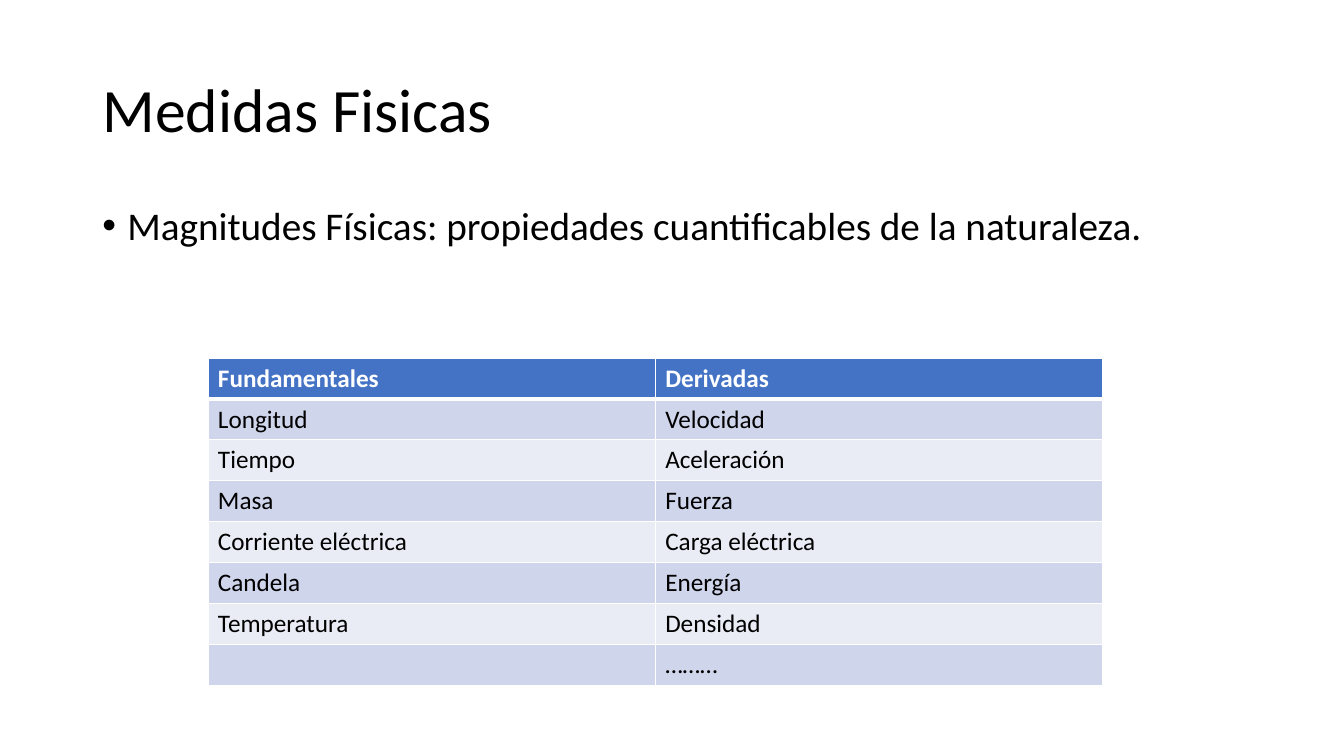
import pptx
import pptx.dml.color
import pptx.enum.text
import pptx.oxml
import pptx.oxml.ns
import pptx.util

PX = 9525
FONT = "Calibri"
COLORS = {
    "text": "000000",
    "white": "FFFFFF",
    "header": "4472C4",
    "odd_row": "CFD5EA",
    "even_row": "E9EBF5",
}
MAGNITUDES = [
    ("Fundamentales", "Derivadas"),
    ("Longitud", "Velocidad"),
    ("Tiempo", "Aceleración"),
    ("Masa", "Fuerza"),
    ("Corriente eléctrica", "Carga eléctrica"),
    ("Candela", "Energía"),
    ("Temperatura", "Densidad"),
    ("", "………"),
]


def px(length):
    return pptx.util.Emu(length * PX)


def rgb(name):
    return pptx.dml.color.RGBColor.from_string(COLORS[name])


def format_runs(paragraph, size, color="text", bold=False):
    for run in paragraph.runs:
        run.font.name = FONT
        run.font.size = pptx.util.Pt(size)
        run.font.bold = bold
        run.font.color.rgb = rgb(color)


def add_title(slide, left, top, width, height):
    title = slide.shapes.title
    title.left, title.top, title.width, title.height = map(px, (left, top, width, height))
    text_frame = title.text_frame
    text_frame.text = "Medidas Fisicas"
    text_frame.word_wrap = True
    text_frame.auto_size = pptx.enum.text.MSO_AUTO_SIZE.NONE
    text_frame.vertical_anchor = pptx.enum.text.MSO_ANCHOR.MIDDLE
    paragraph = text_frame.paragraphs[0]
    paragraph.alignment = pptx.enum.text.PP_ALIGN.LEFT
    paragraph.line_spacing = 0.9
    format_runs(paragraph, 44)


def add_definition(slide, left, top, width, height):
    text_box = slide.shapes.add_textbox(*map(px, (left, top, width, height)))
    text_frame = text_box.text_frame
    text_frame.word_wrap = True
    text_frame.text = "Magnitudes Físicas: propiedades cuantificables de la naturaleza."
    paragraph = text_frame.paragraphs[0]
    paragraph.line_spacing = 0.9
    properties = paragraph._p.get_or_add_pPr()
    properties.set("marL", str(px(24)))
    properties.set("indent", str(px(-24)))
    namespace = pptx.oxml.ns.nsdecls("a")
    properties.append(pptx.oxml.parse_xml(f'<a:buFont {namespace} typeface="Arial"/>'))
    properties.append(pptx.oxml.parse_xml(f'<a:buChar {namespace} char="•"/>'))
    format_runs(paragraph, 28)


def set_borders(cell, top_width, bottom_width):
    properties = cell._tc.get_or_add_tcPr()
    widths = {"lnL": 1, "lnR": 1, "lnT": top_width, "lnB": bottom_width}
    for side, width in widths.items():
        properties.append(pptx.oxml.parse_xml(
            f'<a:{side} {pptx.oxml.ns.nsdecls("a")} w="{pptx.util.Pt(width)}">'
            f'<a:solidFill><a:srgbClr val="{COLORS["white"]}"/></a:solidFill>'
            f'</a:{side}>'
        ))


def add_magnitudes_table(slide, left, top, width, height):
    row_count, column_count = len(MAGNITUDES), len(MAGNITUDES[0])
    frame = slide.shapes.add_table(row_count, column_count, *map(px, (left, top, width, height)))
    table = frame.table
    for column in table.columns:
        column.width = px(width // column_count)
    for row_index, texts in enumerate(MAGNITUDES):
        is_header = row_index == 0
        row_fill = "header" if is_header else "odd_row" if row_index % 2 else "even_row"
        table.rows[row_index].height = px(height // row_count)
        for column_index, text in enumerate(texts):
            cell = table.cell(row_index, column_index)
            set_borders(cell, 3 if row_index == 1 else 1, 3 if is_header else 1)
            cell.fill.solid()
            cell.fill.fore_color.rgb = rgb(row_fill)
            cell.text_frame.text = text
            format_runs(cell.text_frame.paragraphs[0], 18, "white" if is_header else "text", is_header)


def main():
    presentation = pptx.Presentation()
    presentation.slide_width = px(1280)
    presentation.slide_height = px(720)
    slide = presentation.slides.add_slide(presentation.slide_layouts.get_by_name("Title Only"))
    slide.background.fill.solid()
    slide.background.fill.fore_color.rgb = rgb("white")
    add_title(slide, 88, 38, 1104, 139)
    add_definition(slide, 88, 192, 1104, 95)
    add_magnitudes_table(slide, 198, 341, 852, 312)
    presentation.save("out.pptx")


if __name__ == "__main__":
    main()
